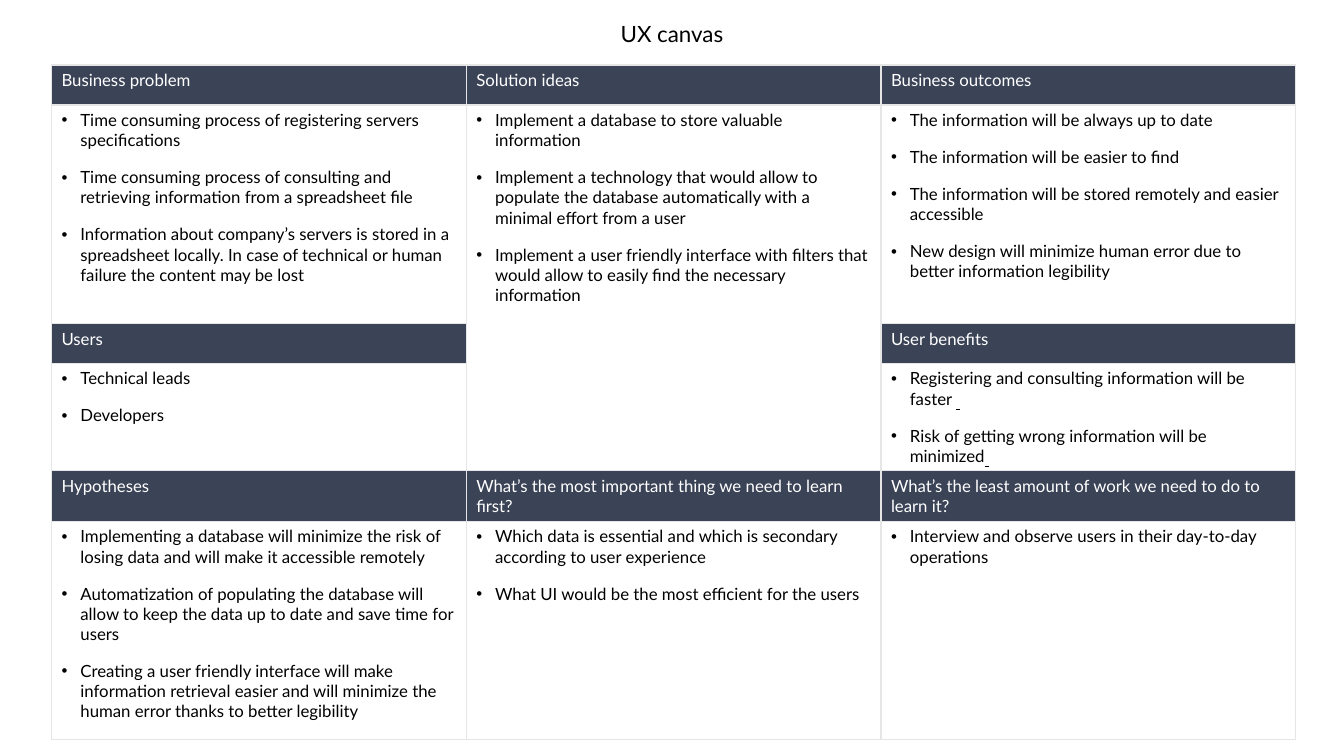
from lxml import etree
from pptx import Presentation
from pptx.dml.color import RGBColor
from pptx.enum.text import MSO_ANCHOR, PP_ALIGN
from pptx.oxml.ns import qn
from pptx.util import Emu, Pt

CENTER = PP_ALIGN.CENTER
BOTTOM = MSO_ANCHOR.BOTTOM

PX = 9525  # EMU per px, slide of 1280 x 720
FONT = "Lato"
COLORS = {"header": "3B4357", "border": "E7E6E6", "white": "FFFFFF", "black": "000000"}
INDENT = 18
COL_WIDTH = 395
ROW_HEIGHTS = [38, 208, 38, 98, 47, 208]

# Canvas sections: (row, column) of the heading, heading, bullets
SECTIONS = [
    (0, 0, "Business problem", [
        "Time consuming process of registering servers specifications",
        "Time consuming process of consulting and retrieving information from a spreadsheet file",
        "Information about company’s servers is stored in a spreadsheet locally. "
        "In case of technical or human failure the content may be lost"]),
    (0, 1, "Solution ideas", [
        "Implement a database to store valuable information",
        "Implement a technology that would allow to populate the database automatically "
        "with a minimal effort from a user",
        "Implement a user friendly interface with filters that would allow to easily find "
        "the necessary information"]),
    (0, 2, "Business outcomes", [
        "The information will be always up to date",
        "The information will be easier to find",
        "The information will be stored remotely and easier accessible",
        "New design will minimize human error due to better information legibility"]),
    (2, 0, "Users", ["Technical leads", "Developers"]),
    (2, 2, "User benefits", [
        "Registering and consulting information will be faster ",
        "Risk of getting wrong information will be minimized"]),
    (4, 0, "Hypotheses", [
        "Implementing a database will minimize the risk of losing data and will make it "
        "accessible remotely",
        "Automatization of populating the database will allow to keep the data up to date "
        "and save time for users",
        "Creating a user friendly interface will make information retrieval easier and will "
        "minimize the human error thanks to better legibility"]),
    (4, 1, "What’s the most important thing we need to learn first?", [
        "Which data is essential and which is secondary according to user experience",
        "What UI would be the most efficient for the users"]),
    (4, 2, "What’s the least amount of work we need to do to learn it?", [
        "Interview and observe users in their day-to-day operations"]),
]
UNDERLINED_END = "User benefits"  # its bullets end in an underlined space


def px(n):
    return Emu(n * PX)


def rgb(name):
    return RGBColor.from_string(COLORS[name])


def set_font(p, size, color):
    p.font.name = FONT
    p.font.size = Pt(size)
    p.font.color.rgb = rgb(color)


def add_title(slide, text):
    title = slide.shapes.title
    title.left, title.top, title.width, title.height = px(0), px(0), px(1280), px(50)
    tf = title.text_frame
    tf.text = text
    tf.vertical_anchor = BOTTOM
    p = tf.paragraphs[0]
    p.alignment = CENTER
    p.line_spacing = 0.9
    set_font(p, 16, "black")


def set_borders(cell):
    tcPr = cell._tc.get_or_add_tcPr()
    for side in ("a:lnL", "a:lnR", "a:lnT", "a:lnB"):
        ln = etree.SubElement(tcPr, qn(side), w=str(Pt(1)))
        fill = etree.SubElement(ln, qn("a:solidFill"))
        etree.SubElement(fill, qn("a:srgbClr"), val=COLORS["border"])


def add_bullet(p):
    pPr = p._p.get_or_add_pPr()
    pPr.set("marL", str(px(INDENT)))
    pPr.set("indent", str(-px(INDENT)))
    bu_font = etree.Element(qn("a:buFont"), typeface="Arial")
    bu_char = etree.Element(qn("a:buChar"), char="•")
    # Bullets come before the default run properties
    for bu in (bu_font, bu_char):
        pPr.find(qn("a:defRPr")).addprevious(bu)


def fill_cell(cell, texts, color, bullets=False, underlined_end=False):
    tf = cell.text_frame
    for i, text in enumerate(texts):
        p = tf.paragraphs[0] if i == 0 else tf.add_paragraph()
        p.add_run().text = text
        p.space_before = p.space_after = Pt(6)
        set_font(p, 12, color)
        if bullets:
            add_bullet(p)
        if underlined_end:
            r = p.add_run()
            r.text = " "
            r.font.underline = True


def add_canvas(slide):
    frame = slide.shapes.add_table(len(ROW_HEIGHTS), 3, px(49), px(62),
                                   px(3 * COL_WIDTH), px(sum(ROW_HEIGHTS)))
    table = frame.table
    table.first_row = table.horz_banding = False
    for col in table.columns:
        col.width = px(COL_WIDTH)
    for row, height in zip(table.rows, ROW_HEIGHTS):
        row.height = px(height)
    table.cell(1, 1).merge(table.cell(3, 1))

    for cell in table.iter_cells():
        set_borders(cell)
        cell.fill.background()

    for row, col, heading, bullets in SECTIONS:
        header = table.cell(row, col)
        header.fill.solid()
        header.fill.fore_color.rgb = rgb("header")
        fill_cell(header, [heading], "white")
        fill_cell(table.cell(row + 1, col), bullets, "black", bullets=True,
                  underlined_end=heading == UNDERLINED_END)


def main():
    prs = Presentation()
    prs.slide_width, prs.slide_height = px(1280), px(720)
    slide = prs.slides.add_slide(prs.slide_layouts[5])  # title only
    add_title(slide, "UX canvas")
    add_canvas(slide)
    prs.save("out.pptx")


if __name__ == "__main__":
    main()
